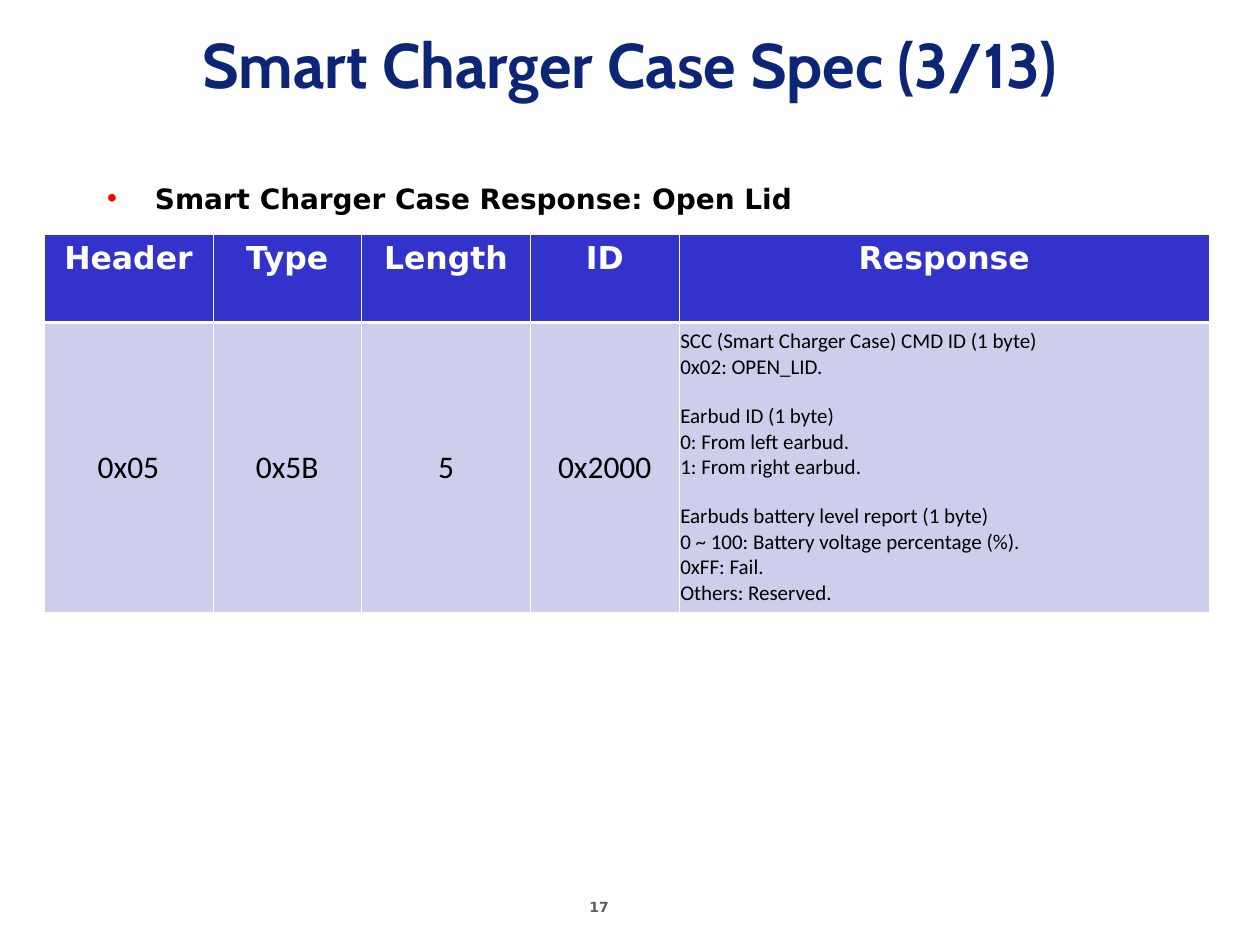
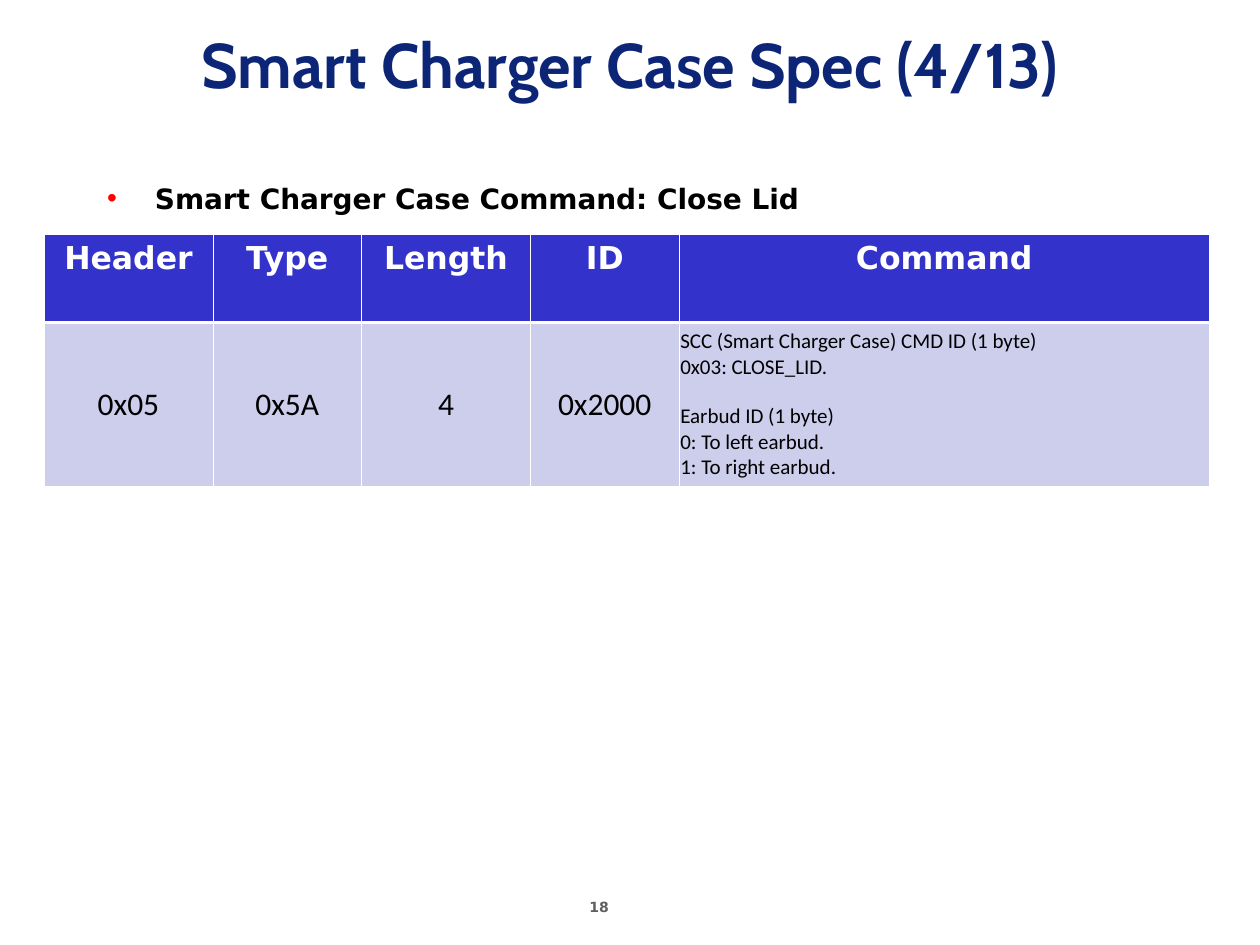
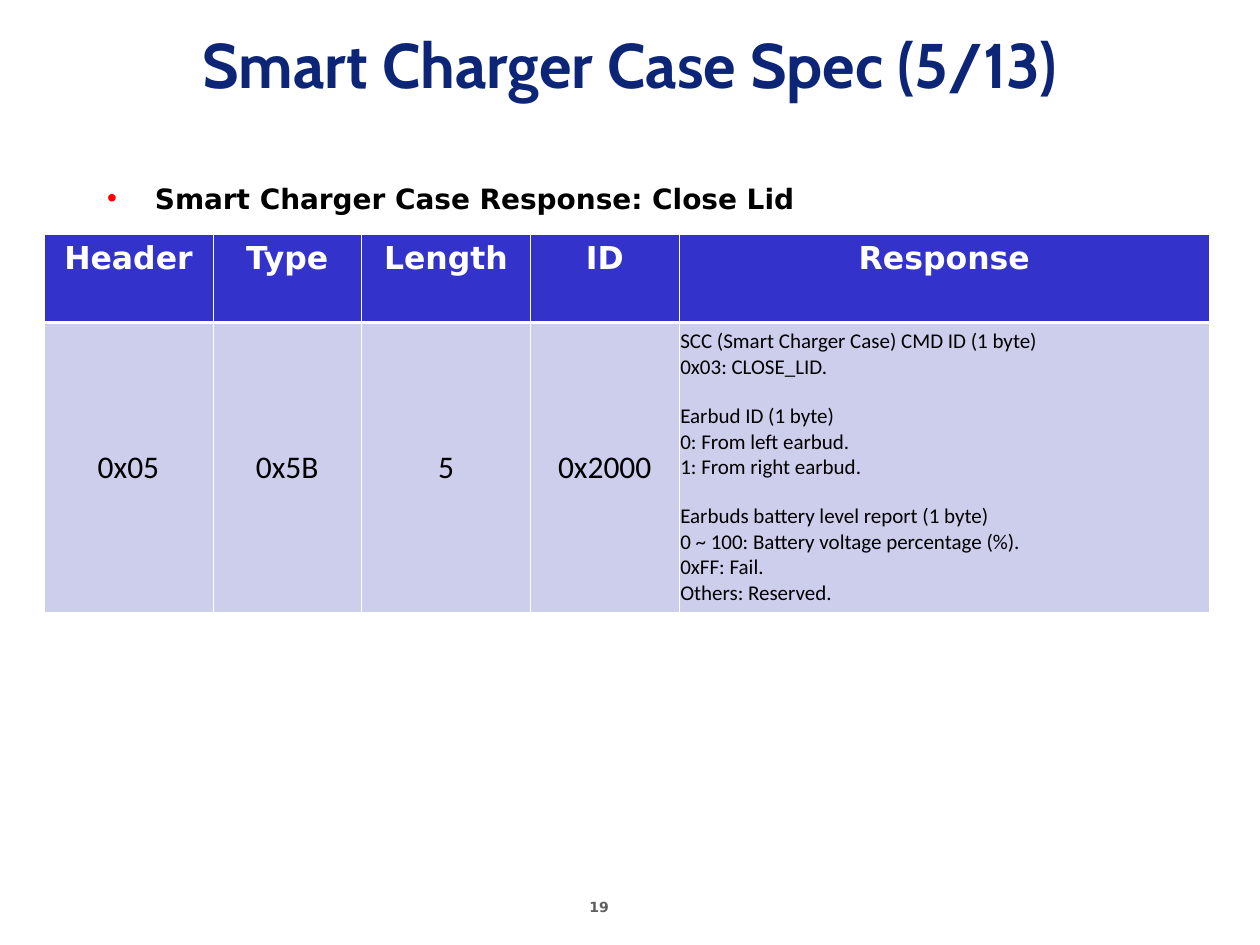
import pptx
import pptx.dml.color
import pptx.enum.text
import pptx.oxml
import pptx.oxml.ns
import pptx.util
from pptx.util import Inches

RGBColor = pptx.dml.color.RGBColor
ALIGN = pptx.enum.text.PP_ALIGN
ANCHOR = pptx.enum.text.MSO_ANCHOR

NAVY = RGBColor(0x0C, 0x25, 0x77)
HEADER_BLUE = RGBColor(0x33, 0x33, 0xCC)
CELL_LILAC = RGBColor(0xCD, 0xCD, 0xEC)
GREY = RGBColor(0x5F, 0x5F, 0x5F)
RED = RGBColor(0xFF, 0x00, 0x00)
WHITE = RGBColor(0xFF, 0xFF, 0xFF)
BLACK = RGBColor(0x00, 0x00, 0x00)

TITLE_FONT, LABEL_FONT, CELL_FONT = "Cabin", "DejaVu Sans", "Calibri"

TITLE_BOX = (0, 0, 10, 1)
BODY_BOX = (0.75, 1.39, 9.25, 5.17)
NUMBER_BOX = (4.58, 7.08, 0.77, 0.26)
TABLE_BOX = (0.35, 1.86, 9.25)
COLUMN_WIDTHS = (1.34, 1.18, 1.34, 1.18, 4.21)
HEADER_HEIGHT = 0.7
THIN, THICK = 0.45, 1.47
GROUP_GAP = 13.4

FIRST_NUMBER = 17
FIRST_PART = 3
PART_COUNT = 13

BATTERY_REPORT = [
    "Earbuds battery level report (1 byte)",
    "0 ~ 100: Battery voltage percentage (%).",
    "0xFF: Fail.",
    "Others: Reserved.",
]


def packet(kind, action, command):
    """Describe the command or response packet of one lid action."""
    is_response = kind == "Response"
    direction = "From" if is_response else "To"
    groups = [
        ["SCC (Smart Charger Case) CMD ID (1 byte)", command],
        ["Earbud ID (1 byte)", f"0: {direction} left earbud.", f"1: {direction} right earbud."],
    ]
    if is_response:
        groups.append(BATTERY_REPORT)
    return {
        "heading": f"Smart Charger Case {kind}: {action}",
        "header": ["Header", "Type", "Length", "ID", kind],
        "values": ["0x05", "0x5B" if is_response else "0x5A", "5" if is_response else "4", "0x2000"],
        "groups": groups,
        "row_height": 2.21 if is_response else 1.21,
    }


PACKETS = [
    packet("Response", "Open Lid", "0x02: OPEN_LID."),
    packet("Command", "Close Lid", "0x03: CLOSE_LID."),
    packet("Response", "Close Lid", "0x03: CLOSE_LID."),
]


def style(paragraph, font_name, size, color, bold=False, align=ALIGN.LEFT):
    """Format a paragraph and all of its runs."""
    paragraph.alignment = align
    for run in paragraph.runs:
        run.font.name = font_name
        run.font.size = pptx.util.Pt(size)
        run.font.color.rgb = color
        run.font.bold = bold


def place(shape, box):
    """Move and size a shape to a box given in inches."""
    shape.left, shape.top, shape.width, shape.height = map(Inches, box)


def add_bullet(paragraph, color, indent):
    """Give a paragraph a coloured round bullet with a hanging indent."""
    properties = paragraph._p.get_or_add_pPr()
    properties.set("marL", str(Inches(indent)))
    properties.set("indent", str(Inches(-indent)))
    namespace = pptx.oxml.ns.nsdecls("a")
    for xml in (
        f'<a:buClr {namespace}><a:srgbClr val="{color}"/></a:buClr>',
        f'<a:buFont {namespace} typeface="Arial"/>',
        f'<a:buChar {namespace} char="•"/>',
    ):
        properties.append(pptx.oxml.parse_xml(xml))


def add_borders(cell, top, bottom):
    """Draw white borders round a table cell."""
    properties = cell._tc.get_or_add_tcPr()
    widths = {"lnL": THIN, "lnR": THIN, "lnT": top, "lnB": bottom}
    for position, (side, width) in enumerate(widths.items()):
        properties.insert(position, pptx.oxml.parse_xml(
            f'<a:{side} {pptx.oxml.ns.nsdecls("a")} w="{pptx.util.Pt(width)}">'
            f'<a:solidFill><a:srgbClr val="{WHITE}"/></a:solidFill></a:{side}>'
        ))


def add_title(slide, text, box):
    """Fill and format the title placeholder."""
    title = slide.shapes.title
    place(title, box)
    title.text_frame.text = text
    title.text_frame.auto_size = pptx.enum.text.MSO_AUTO_SIZE.NONE
    title.text_frame.vertical_anchor = ANCHOR.MIDDLE
    style(title.text_frame.paragraphs[0], TITLE_FONT, 36, NAVY, True, ALIGN.CENTER)


def add_heading(slide, text, box):
    """Fill the body placeholder with one bulleted heading."""
    body = slide.placeholders[1]
    place(body, box)
    body.text_frame.text = text
    body.text_frame.auto_size = pptx.enum.text.MSO_AUTO_SIZE.NONE
    paragraph = body.text_frame.paragraphs[0]
    paragraph.space_before = pptx.util.Pt(0)
    add_bullet(paragraph, RED, 0.38)
    style(paragraph, LABEL_FONT, 16, BLACK, True)


def add_number(slide, number, box):
    """Write the slide number at the foot of the slide."""
    text_frame = slide.shapes.add_textbox(*map(Inches, box)).text_frame
    text_frame.word_wrap = True
    text_frame.text = str(number)
    style(text_frame.paragraphs[0], LABEL_FONT, 8, GREY, True)


def fill_header(cell, text):
    """Format one cell of the header row."""
    cell.text_frame.text = text
    cell.fill.solid()
    cell.fill.fore_color.rgb = HEADER_BLUE
    style(cell.text_frame.paragraphs[0], LABEL_FONT, 18, WHITE, True, ALIGN.CENTER)
    add_borders(cell, THIN, THICK)


def fill_value(cell, groups, size, align):
    """Write groups of lines into a value cell with a gap between groups."""
    cell.text_frame.text = "\n".join(line for group in groups for line in group)
    cell.vertical_anchor = ANCHOR.MIDDLE
    cell.margin_left = cell.margin_right = Inches(0.01)
    cell.fill.solid()
    cell.fill.fore_color.rgb = CELL_LILAC
    paragraphs = iter(cell.text_frame.paragraphs)
    for group_index, group in enumerate(groups):
        for line_index in range(len(group)):
            paragraph = next(paragraphs)
            style(paragraph, CELL_FONT, size, BLACK, False, align)
            if group_index and not line_index:
                paragraph.space_before = pptx.util.Pt(GROUP_GAP)
    add_borders(cell, THICK, THIN)


def add_packet_table(slide, content, box):
    """Draw the table of packet fields."""
    left, top, width = box
    heights = (HEADER_HEIGHT, content["row_height"])
    table = slide.shapes.add_table(
        len(heights), len(COLUMN_WIDTHS), *map(Inches, (left, top, width, sum(heights)))
    ).table
    table.horz_banding = False
    for column, column_width in zip(table.columns, COLUMN_WIDTHS):
        column.width = Inches(column_width)
    for row, height in zip(table.rows, heights):
        row.height = Inches(height)
    for index, text in enumerate(content["header"]):
        fill_header(table.cell(0, index), text)
    for index, value in enumerate(content["values"]):
        fill_value(table.cell(1, index), [[value]], 18, ALIGN.CENTER)
    fill_value(table.cell(1, len(content["values"])), content["groups"], 12, ALIGN.LEFT)


def add_packet_slide(presentation, index, content):
    """Add one slide that specifies a packet."""
    slide = presentation.slides.add_slide(presentation.slide_layouts[1])
    add_title(slide, f"Smart Charger Case Spec ({FIRST_PART + index}/{PART_COUNT})", TITLE_BOX)
    add_heading(slide, content["heading"], BODY_BOX)
    add_packet_table(slide, content, TABLE_BOX)
    add_number(slide, FIRST_NUMBER + index, NUMBER_BOX)


def main():
    """Build and save the presentation."""
    presentation = pptx.Presentation()
    presentation.slide_width = Inches(10)
    presentation.slide_height = Inches(7.5)
    for index, content in enumerate(PACKETS):
        add_packet_slide(presentation, index, content)
    presentation.save("out.pptx")


if __name__ == "__main__":
    main()
